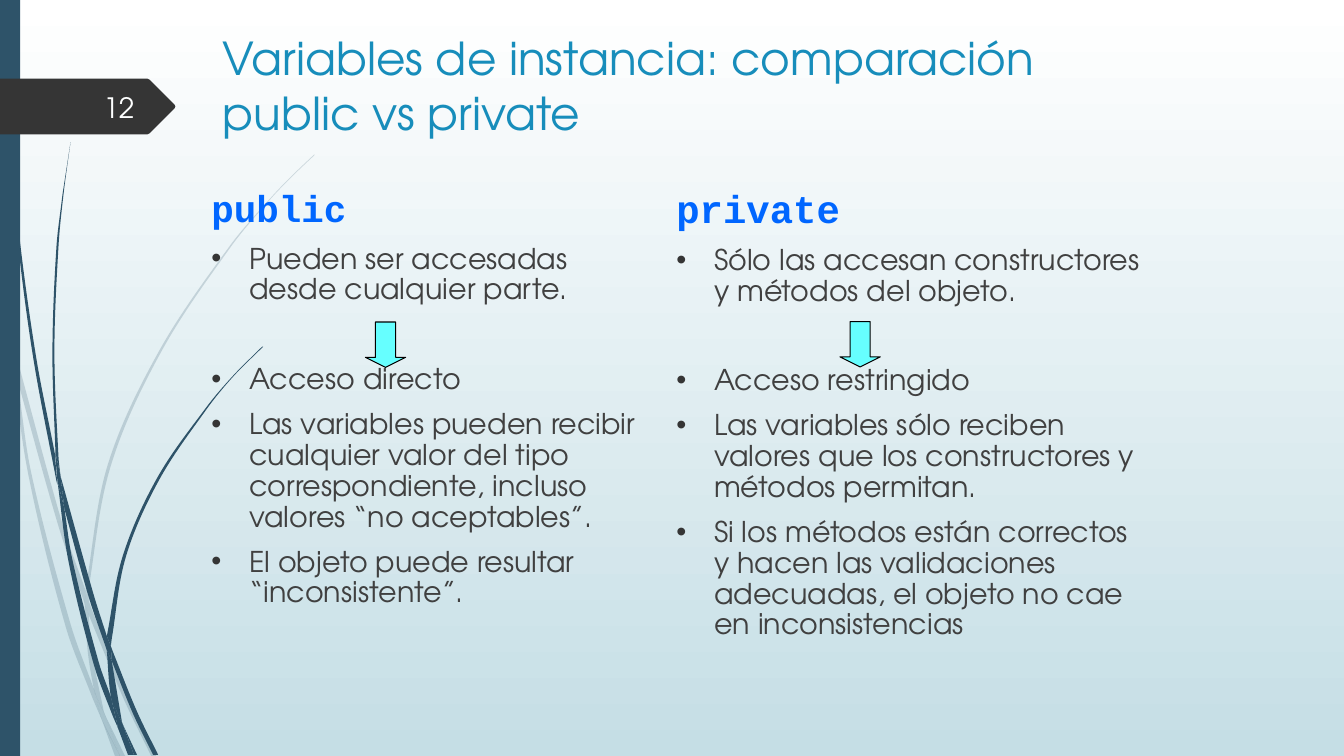
from math import dist
from lxml import etree
from pptx import Presentation
from pptx import util as u
from pptx.dml.color import RGBColor
from pptx.enum import shapes, text
from pptx.oxml import ns

SANS, MONO = "TeX Gyre Adventor", "Courier New"
TEAL, DARK, GREY = "2E5369", "353535", "404040"
UNIT = 0.72  # points per step of the stem grid

# Each blade is a list of smooth edges, joined by straight lines
FAINT = [
    [[(11, 350), (9, 322), (0, 282)], [(0, 299), (10, 344)]],
    [[(14, 345), (62, 520), (85, 586)], [(84, 599), (58, 522), (17, 376)]],
    [[(88, 596), (92, 607), (127, 692), (155, 750)], [(150, 750), (123, 694), (88, 610)]],
    [[(105, 711), (124, 750)], [(119, 750)]],
    [[(11, 350), (17, 376), (31, 469), (70, 619), (93, 683)], [(99, 707), (101, 714)],
     [(92, 693), (65, 621), (28, 470), (11, 350)]],
    [[(84, 599), (87, 646), (93, 683), (96, 692), (105, 711)],
     [(103, 706), (91, 646), (88, 610)]],
    [[(88, 596), (88, 584), (110, 462), (160, 349), (229, 245), (268, 198), (290, 175),
      (312, 154)],
     [(312, 153), (289, 175), (268, 197), (228, 244), (158, 348), (107, 461), (85, 584)]],
    [[(101, 714), (114, 750)], [(119, 750)]],
    [[(88, 610), (88, 596)], [(85, 586), (84, 599)]],
    [[(96, 692), (93, 683)], [(99, 707), (101, 714), (119, 750)], [(105, 711)]],
]
SOLID = [
    [[(7, 110), (17, 233), (33, 355), (56, 477), (57, 481)],
     [(55, 457), (55, 453), (36, 355), (19, 232), (8, 109), (5, 48), (4, 0)],
     [(3, 0), (4, 48), (7, 110)]],
    [[(64, 505), (88, 592), (106, 645)], [(106, 631), (93, 590), (60, 472)]],
    [[(110, 641), (113, 649), (136, 706), (157, 749)], [(152, 749), (132, 708), (111, 656)]],
    [[(110, 691), (98, 657), (72, 556), (64, 505)],
     [(57, 477), (68, 557), (93, 659), (111, 708), (117, 722)], [(116, 717)]],
    [[(60, 472), (58, 453), (54, 349), (58, 245), (63, 193), (70, 141)],
     [(62, 193), (56, 245), (52, 349), (55, 449)]],
    [[(133, 749), (136, 749)], [(122, 719)]],
    [[(57, 477), (64, 505)], [(60, 472)], [(55, 449), (55, 453)]],
    [[(110, 641), (111, 633), (125, 552), (158, 476), (205, 406), (231, 374), (261, 344)],
     [(260, 344), (231, 373), (204, 405), (156, 474), (122, 551), (106, 631)]],
    [[(117, 722), (127, 749)], [(131, 749)]],
    [[(106, 645), (110, 691), (116, 706), (122, 719)], [(121, 716), (111, 656)]],
    [[(106, 645), (111, 656)], [(110, 641), (106, 631)]],
    [[(116, 706), (110, 691)], [(116, 717), (117, 722), (130, 749)], [(133, 749), (122, 719)]],
]
PUBLIC = [
    "Pueden ser accesadas desde cualquier parte.",
    "Acceso directo",
    "Las variables pueden recibir cualquier valor del tipo correspondiente, "
    "incluso valores “no aceptables”.",
    "El objeto puede resultar “inconsistente”.",
]
PRIVATE = [
    "Sólo las accesan constructores y métodos del objeto.",
    "Acceso restringido",
    "Las variables sólo reciben valores que los constructores y métodos permitan.",
    "Si los métodos están correctos y hacen las validaciones adecuadas, "
    "el objeto no cae en inconsistencias",
]


def tint(code):
    return RGBColor.from_string(code)


def paint(shape, code, line=None):
    shape.shadow.inherit = False
    shape.fill.solid()
    shape.fill.fore_color.rgb = tint(code)
    if line:
        shape.line.color.rgb = tint(line)
        shape.line.width = u.Pt(0.75)
    else:
        shape.line.fill.background()
    return shape


def preset(slide, kind, box, code, line=None):
    shape = slide.shapes.add_shape(kind, *map(u.Pt, box))
    return paint(shape, code, line)


def outline(host, points, code):
    dots = [(u.Pt(x), u.Pt(y)) for x, y in points]
    form = host.shapes.build_freeform(*dots[0])
    form.add_line_segments(dots[1:], close=True)
    return paint(form.convert_to_shape(), code)


def frame(slide, box):
    body = slide.shapes.add_textbox(*map(u.Pt, box)).text_frame
    body.word_wrap = True
    return body


def write(para, words, size, code, face=SANS, bold=False):
    run = para.add_run()
    run.text = words
    font = run.font
    font.size, font.name, font.bold = u.Pt(size), face, bold
    font.color.rgb = tint(code)


def handle(knot, back, ahead, reach):
    """Control point beside a knot, along the line from back to ahead."""
    k = reach / 3 / dist(back, ahead)
    return tuple(p + (b - a) * k for p, a, b in zip(knot, back, ahead))


def blade(group, edges, alpha=None):
    points, bends = [], []
    for edge in edges:
        points.append(edge[0])
        ends = [edge[0], *edge, edge[-1]]
        for a, b, c, d in zip(ends, ends[1:], ends[2:], ends[3:]):
            bends.append(len(points) - 1)
            size = dist(b, c)
            points += [handle(b, a, c, size), handle(c, d, b, size), c]
    shape = outline(group, [(x * UNIT, y * UNIT) for x, y in points], TEAL)
    # Turn each run of three lines into one curve
    lines = list(shape._element.iter(ns.qn("a:lnTo")))
    for first in bends:
        curve = etree.Element(ns.qn("a:cubicBezTo"))
        lines[first].addprevious(curve)
        for line in lines[first:first + 3]:
            curve.append(line[0])
            line.getparent().remove(line)
    if alpha:
        color = shape.fill._xPr.find(".//" + ns.qn("a:srgbClr"))
        etree.SubElement(color, ns.qn("a:alpha"), val=str(alpha * 1000))


def decor(slide):
    # Background, stems and side bar
    fill = slide.background.fill
    fill.gradient()
    fill.gradient_angle = 270
    for stop, code in zip(fill.gradient_stops, ("FFFFFF", "C5DEE5")):
        stop.color.rgb = tint(code)
    for blades, alpha in ((FAINT, 20), (SOLID, None)):
        group = slide.shapes.add_group_shape()
        for edges in blades:
            blade(group, edges, alpha)
    preset(slide, shapes.MSO_SHAPE.RECTANGLE, (0, 0, 14.4, 540), TEAL)


def badge(slide, box, number):
    # Page tag with a pointed right end
    x, y, w, h = box
    right, low, mid = x + w, y + h, y + h / 2
    outline(slide, [(x, y), (right - 20, y), (right - 18.5, y + 0.7),
                    (right - 0.6, mid - 1.3), (right, mid), (right - 0.6, mid + 1.3),
                    (right - 18.5, low - 0.7), (right - 20, low), (x, low)], DARK)
    body = frame(slide, (x + 41.8, y + 5.7, 61.2, 28.8))
    body.vertical_anchor = text.MSO_ANCHOR.MIDDLE
    para = body.paragraphs[0]
    para.alignment = text.PP_ALIGN.RIGHT
    write(para, number, 20, "FEFFFF")


def bullet(para):
    props = para._p.get_or_add_pPr()
    props.set("marL", str(u.Pt(27)))
    props.set("indent", str(-u.Pt(27)))
    color = etree.SubElement(props, ns.qn("a:buClr"))
    etree.SubElement(color, ns.qn("a:srgbClr"), val=DARK)
    etree.SubElement(props, ns.qn("a:buFont"), typeface="Arial")
    etree.SubElement(props, ns.qn("a:buChar"), char="•")


def column(slide, box, head, size, items, shift):
    # Heading, bullets, and an arrow in the gap before the second bullet
    body = frame(slide, box)
    para = body.paragraphs[0]
    para.line_spacing = 0.9
    write(para, head, size, "0066FF", MONO, True)
    for i, item in enumerate(items):
        para = body.add_paragraph()
        bullet(para)
        para.line_spacing = 0.9
        para.space_before = u.Pt(42 if i == 1 else 10)
        write(para, item, 20.4, GREY)
    arrow = preset(slide, shapes.MSO_SHAPE.DOWN_ARROW,
                   (box[0] + shift, box[1] + 97.9, 28.8, 32.4), "66FFFF", "000000")
    arrow.adjustments[1] = 0.25


def main():
    deck = Presentation()
    deck.slide_width, deck.slide_height = u.Pt(960), u.Pt(540)
    slide = deck.slides.add_slide(deck.slide_layouts[6])
    decor(slide)
    badge(slide, (0, 56.2, 125.3, 39.8), "12")
    # Title
    title = frame(slide, (152, 18.3, 688, 90))
    write(title.paragraphs[0], "Variables de instancia: comparación public vs private",
          32.4, "178DBB")
    column(slide, (144, 132.1, 319.7, 358.6), "public", 26.8, PUBLIC, 117)
    column(slide, (476, 131.8, 350, 328.3), "private", 27.8, PRIVATE, 124)
    deck.save("out.pptx")


if __name__ == "__main__":
    main()
